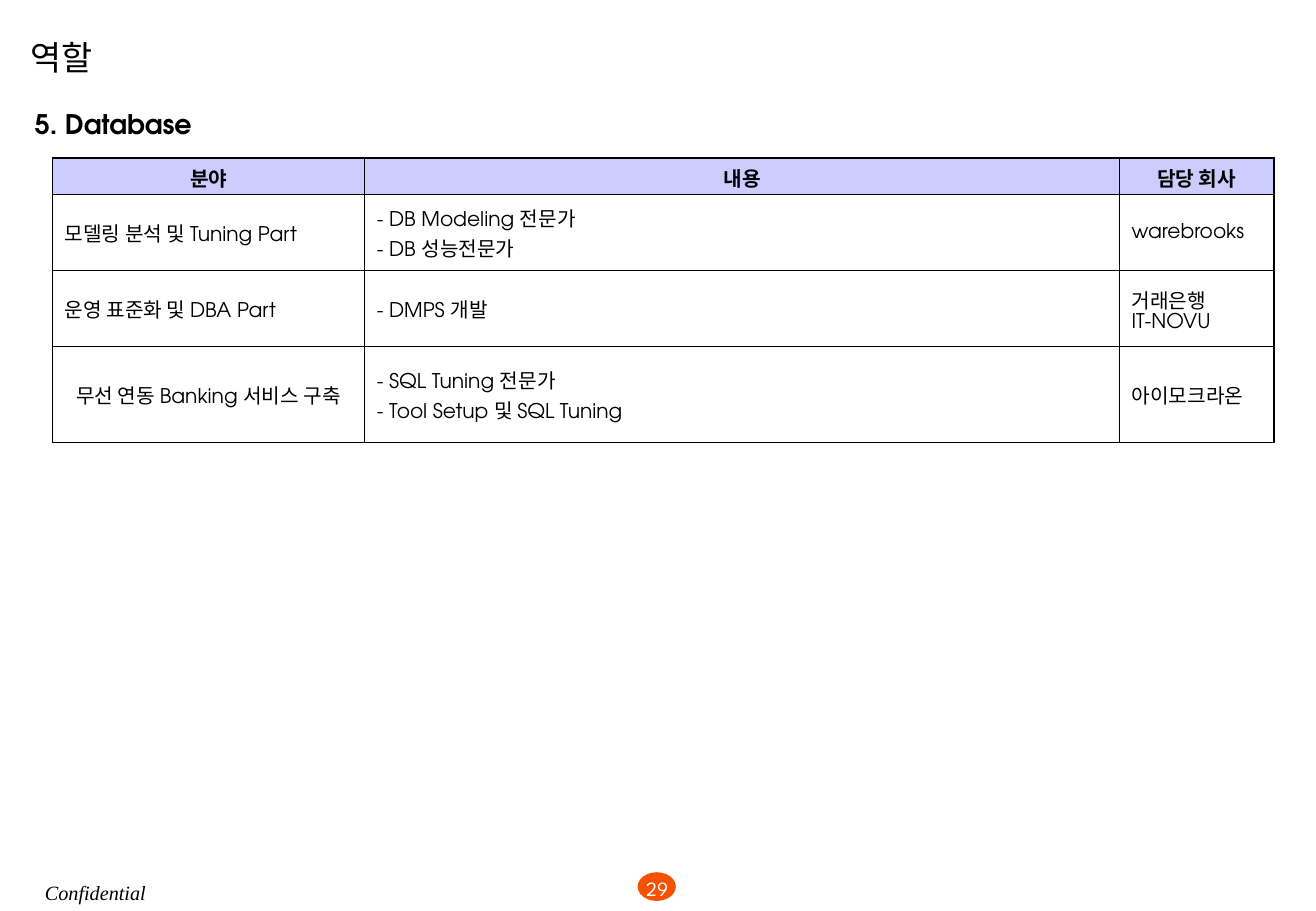
import lxml.etree
import pptx
import pptx.dml.color
import pptx.enum.shapes
import pptx.enum.text
import pptx.oxml.ns
import pptx.util

Cm = pptx.util.Cm
Pt = pptx.util.Pt
RGB = pptx.dml.color.RGBColor
ALIGN = pptx.enum.text.PP_ALIGN
ANCHOR = pptx.enum.text.MSO_ANCHOR

theme = {
    "ink": RGB(0x00, 0x00, 0x00),
    "paper": RGB(0xFF, 0xFF, 0xFF),
    "badge": RGB(0xF4, 0x51, 0x00),
    "header": RGB(0xCC, 0xCC, 0xFF),
    "title_size": Pt(20),
    "heading_size": Pt(16),
    "body_size": Pt(12),
    "outer_line": Pt(1.08),
    "inner_line": Pt(0.45),
}
body = {"name": "TeX Gyre Adventor", "size": theme["body_size"], "bold": False}
header = {**body, "bold": True}
heading = {**header, "size": theme["heading_size"]}
title = {"name": "League Spartan", "size": theme["title_size"]}
page_number = {"name": "League Spartan", "size": theme["body_size"]}
footer = {"name": "Times New Roman", "size": theme["body_size"], "italic": True}


def write(frame, lines, style, align=ALIGN.LEFT, color=theme["ink"]):
    for index, line in enumerate(lines):
        para = frame.add_paragraph() if index else frame.paragraphs[0]
        para.alignment = align
        span = para.add_run()
        span.text = line
        for name, value in style.items():
            setattr(span.font, name, value)
        span.font.color.rgb = color


def draw_borders(cell, widths):
    props = cell._tc.get_or_add_tcPr()
    for index, (side, width) in enumerate(widths.items()):
        line = lxml.etree.Element(pptx.oxml.ns.qn(f"a:ln{side}"), w=str(int(width)))
        fill = lxml.etree.SubElement(line, pptx.oxml.ns.qn("a:solidFill"))
        lxml.etree.SubElement(fill, pptx.oxml.ns.qn("a:srgbClr"), val=str(theme["ink"]))
        props.insert(index, line)


deck = pptx.Presentation()
deck.slide_width = Cm(27.53)
deck.slide_height = Cm(19.05)
page = deck.slides.add_slide(deck.slide_layouts[6])

badge = page.shapes.add_shape(
    pptx.enum.shapes.MSO_SHAPE.OVAL, Cm(13.34), Cm(18.24), Cm(0.8), Cm(0.6))
badge.shadow.inherit = False
badge.fill.solid()
badge.fill.fore_color.rgb = theme["badge"]
badge.line.fill.background()

labels = [
    ("29", (12.75, 18.19, 2, 0.81), page_number, ALIGN.CENTER, theme["paper"], ANCHOR.TOP),
    ("Confidential", (0.69, 18.29, 3.1, 0.76), footer, ALIGN.LEFT, theme["ink"], ANCHOR.TOP),
    ("역할", (0.38, 0.58, 21.13, 1.24), title, ALIGN.LEFT, theme["ink"], ANCHOR.MIDDLE),
    ("5. Database", (0.48, 2.13, 14.96, 0.94), heading, ALIGN.LEFT, theme["ink"], ANCHOR.TOP),
]
for text, place, style, align, color, anchor in labels:
    box = page.shapes.add_textbox(*map(Cm, place))
    box.text_frame.word_wrap = True
    box.text_frame.vertical_anchor = anchor
    write(box.text_frame, [text], style, align, color)

roles = [
    [["분야"], ["내용"], ["담당 회사"]],
    [["모델링 분석 및 Tuning Part"], ["- DB Modeling 전문가", "- DB 성능전문가"], ["warebrooks"]],
    [["운영 표준화 및 DBA Part"], ["- DMPS 개발"], ["거래은행", "IT-NOVU"]],
    [["무선 연동 Banking 서비스 구축"], ["- SQL Tuning 전문가", "- Tool Setup 및 SQL Tuning"],
     ["아이모크라온"]],
]
column_widths = [6.53, 15.79, 3.23]
row_heights = [0.77, 1.59, 1.59, 2]
last_row, last_column = len(row_heights) - 1, len(column_widths) - 1
table = page.shapes.add_table(
    len(row_heights), len(column_widths), Cm(1.1), Cm(3.3),
    Cm(sum(column_widths)), Cm(sum(row_heights))).table
table.first_row = False
table.horz_banding = False
for column, width in zip(table.columns, column_widths):
    column.width = Cm(width)
for row, height in zip(table.rows, row_heights):
    row.height = Cm(height)

outer, inner = theme["outer_line"], theme["inner_line"]
for r, role in enumerate(roles):
    for c, lines in enumerate(role):
        cell = table.cell(r, c)
        cell.vertical_anchor = ANCHOR.MIDDLE
        if r == 0:
            cell.margin_top, cell.margin_bottom = Cm(0.1), Cm(0.02)
            cell.fill.solid()
            cell.fill.fore_color.rgb = theme["header"]
        else:
            cell.fill.background()
        centred = r == 0 or (r, c) == (last_row, 0)
        write(cell.text_frame, lines, body if r else header,
              ALIGN.CENTER if centred else ALIGN.LEFT)
        draw_borders(cell, {
            "L": inner if c else outer,
            "R": outer if c == last_column else inner,
            "T": inner if r else outer,
            "B": outer if r == last_row else inner,
        })

deck.save("out.pptx")
